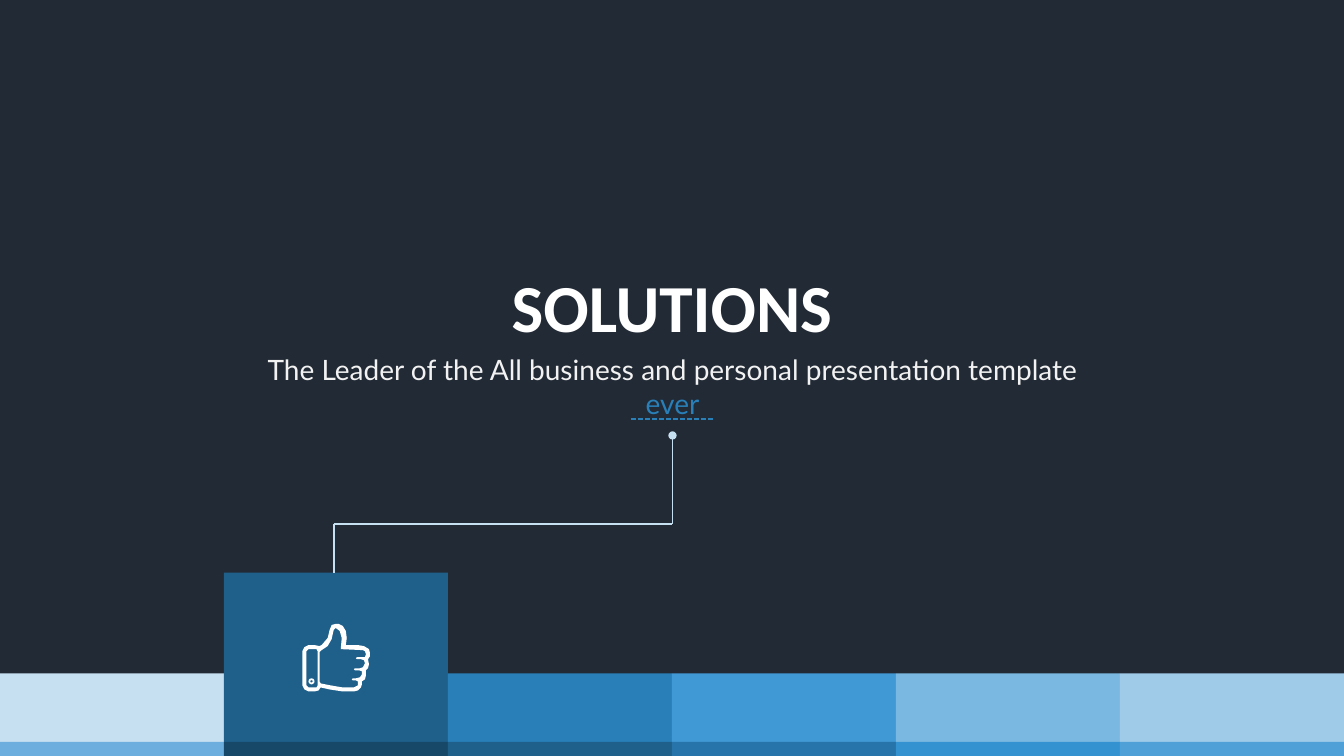
from lxml import etree
from pptx import Presentation
from pptx.dml.color import RGBColor
from pptx.enum.dml import MSO_LINE
from pptx.enum.shapes import MSO_CONNECTOR, MSO_SHAPE
from pptx.enum.text import MSO_ANCHOR, MSO_AUTO_SIZE, PP_ALIGN
from pptx.oxml.ns import qn
from pptx.util import Inches, Pt

RECT, DONUT = MSO_SHAPE.RECTANGLE, MSO_SHAPE.DONUT
STRAIGHT, DASH = MSO_CONNECTOR.STRAIGHT, MSO_LINE.SQUARE_DOT
CENTER, TOP, NO_FIT = PP_ALIGN.CENTER, MSO_ANCHOR.TOP, MSO_AUTO_SIZE.NONE

WIDTH, HEIGHT = 13.33, 7.5
WHITE, PALE, BLUE = "FFFFFF", "C6E0F2", "2980B9"
TILES = [(PALE, "6CAFDE"), ("1F608B", "174868"), (BLUE, "1F608B"),
         ("4098D4", "2674A9"), ("7BB8E1", "3492D1"), ("9FCBE9", "4FA0D7")]
ACTIVE_TILE = 1

HAND = [(361, 641), (355, 640), (343, 640), (344, 633), (343, 626), (340, 621),
        (336, 619), (333, 619), (329, 620.5), (327, 625), (325, 633), (319, 640),
        (317, 641), (312, 640), (306, 640), (302, 642), (300, 646), (300, 680),
        (302, 684), (306, 686), (312, 686), (316, 685), (318, 682), (327, 684),
        (340, 686), (351, 686), (355, 685), (358, 682), (359, 679), (359, 676),
        (362, 674), (363, 670), (363, 665), (365, 663), (366, 659), (365, 654),
        (367, 651), (367, 648), (365.5, 643.5)]
CUFF = [(315, 680), (314, 681.5), (312, 682), (306, 682), (304, 680), (304, 646),
        (306, 644), (312, 644), (314, 644.5), (315, 646)]
PALM = [(363, 649), (361.5, 651.5), (358, 652), (354, 652), (353, 653), (354, 654),
        (358, 654), (361, 655), (362, 658), (360.5, 661.5), (357, 663), (352, 663),
        (351, 664), (352, 665), (356, 665), (359, 666), (359, 669), (357, 672),
        (353, 673), (350, 673), (349, 674), (350, 675), (353, 675), (355, 676),
        (355, 680), (351, 682), (340, 682), (328, 680), (318, 678), (317, 676),
        (317, 647), (319, 645), (325, 641), (329, 634), (331, 625), (333, 623),
        (337, 625.5), (339, 633), (338, 644), (360, 645), (362.5, 646)]


def rgb(value):
    """Turn a hex string into a colour."""
    return RGBColor.from_string(value)


class Deck:
    """Hold the style and the current slide."""

    def __init__(self):
        self.prs = Presentation()
        self.prs.slide_width, self.prs.slide_height = Inches(WIDTH), Inches(HEIGHT)
        self.s = self.prs.slides.add_slide(self.prs.slide_layouts[0])
        self.s.background.fill.solid()
        self.s.background.fill.fore_color.rgb = rgb("222A35")

    def paint(self, sp, color):
        """Give a shape a flat fill without outline or shadow."""
        sp.shadow.inherit = False
        sp.fill.solid()
        sp.fill.fore_color.rgb = rgb(color)
        sp.line.fill.background()

    def shape(self, kind, x, y, w, h, color):
        """Add a preset shape."""
        sp = self.s.shapes.add_shape(kind, Inches(x), Inches(y), Inches(w), Inches(h))
        self.paint(sp, color)
        return sp

    def outline(self, contours, color):
        """Add one freeform from closed contours in hundredths of an inch."""
        first, *holes = contours
        fb = self.s.shapes.build_freeform(*first[0], scale=Inches(0.01))
        fb.add_line_segments(first[1:])
        for hole in holes:
            fb.move_to(*hole[0])
            fb.add_line_segments(hole[1:])
        self.paint(fb.convert_to_shape(), color)

    def line(self, x1, y1, x2, y2, color=PALE, dash=None, head=None):
        """Add a straight line."""
        cx = self.s.shapes.add_connector(
            STRAIGHT, Inches(x1), Inches(y1), Inches(x2), Inches(y2))
        cx.line.color.rgb = rgb(color)
        cx.line.width = Pt(1.25)
        if dash:
            cx.line.dash_style = dash
        if head:
            etree.SubElement(cx.line._get_or_add_ln(), qn("a:headEnd"), type=head)
        etree.SubElement(cx._element.spPr, qn("a:effectLst"))

    def text(self, index, x, y, w, h, runs, size, font, bold=False, wrap=True):
        """Place a placeholder and fill it with coloured runs."""
        sp = self.s.placeholders[index]
        sp.left, sp.top, sp.width, sp.height = map(Inches, (x, y, w, h))
        tf = sp.text_frame
        tf.auto_size, tf.word_wrap, tf.vertical_anchor = NO_FIT, wrap, TOP
        p = tf.paragraphs[0]
        p.alignment, p.space_before = CENTER, Pt(0)
        for words, color in runs:
            r = p.add_run()
            r.text = words
            r.font.size, r.font.name, r.font.bold = Pt(size), font, bold
            r.font.color.rgb = rgb(color)


def main():
    """Build the slide."""
    deck = Deck()
    tile = WIDTH / len(TILES)
    for i, (color, _) in enumerate(TILES):
        top = 5.68 if i == ACTIVE_TILE else 6.68
        deck.shape(RECT, i * tile, top, tile, HEIGHT - top, color)
    for i, (_, color) in enumerate(TILES):
        deck.shape(RECT, i * tile, 7.36, tile, 0.14, color)

    deck.text(0, 4.96, 2.58, 3.41, 0.91, [("SOLUTIONS", WHITE)],
              48, "Calibri", bold=True, wrap=False)
    deck.text(1, 2.33, 3.45, 8.68, 0.75,
              [("The Leader of the All business and personal presentation template ",
                "F2F2F2"), ("ever", BLUE)], 20, "Lato")

    deck.line(6.26, 4.16, 7.07, 4.16, BLUE, dash=DASH)
    deck.line(6.67, 4.32, 6.67, 5.2, head="oval")
    deck.line(3.31, 5.2, 6.67, 5.2)
    deck.line(3.31, 5.2, 3.31, 5.68)

    deck.outline([HAND, CUFF, PALM], WHITE)
    ring = deck.shape(DONUT, 3.06, 6.73, 0.06, 0.06, WHITE)
    ring.adjustments[0] = 0.3
    deck.prs.save("out.pptx")


if __name__ == "__main__":
    main()
